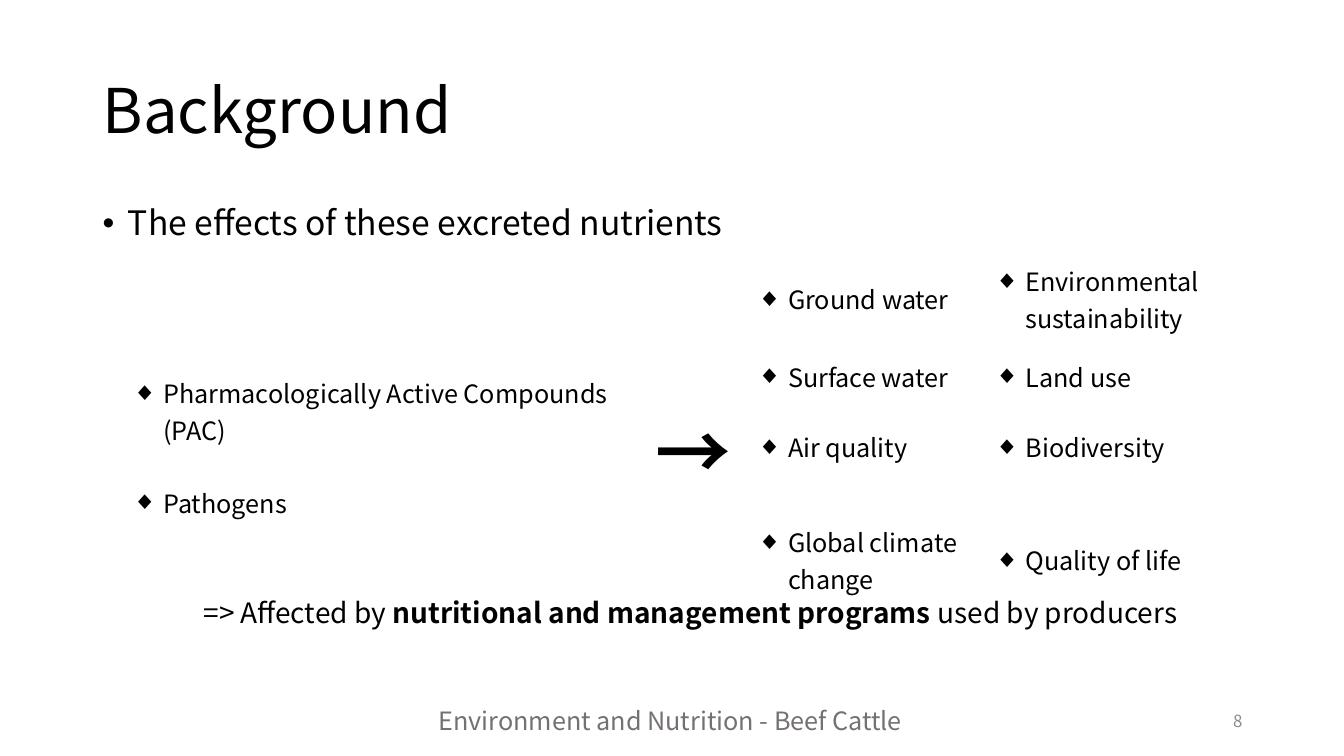
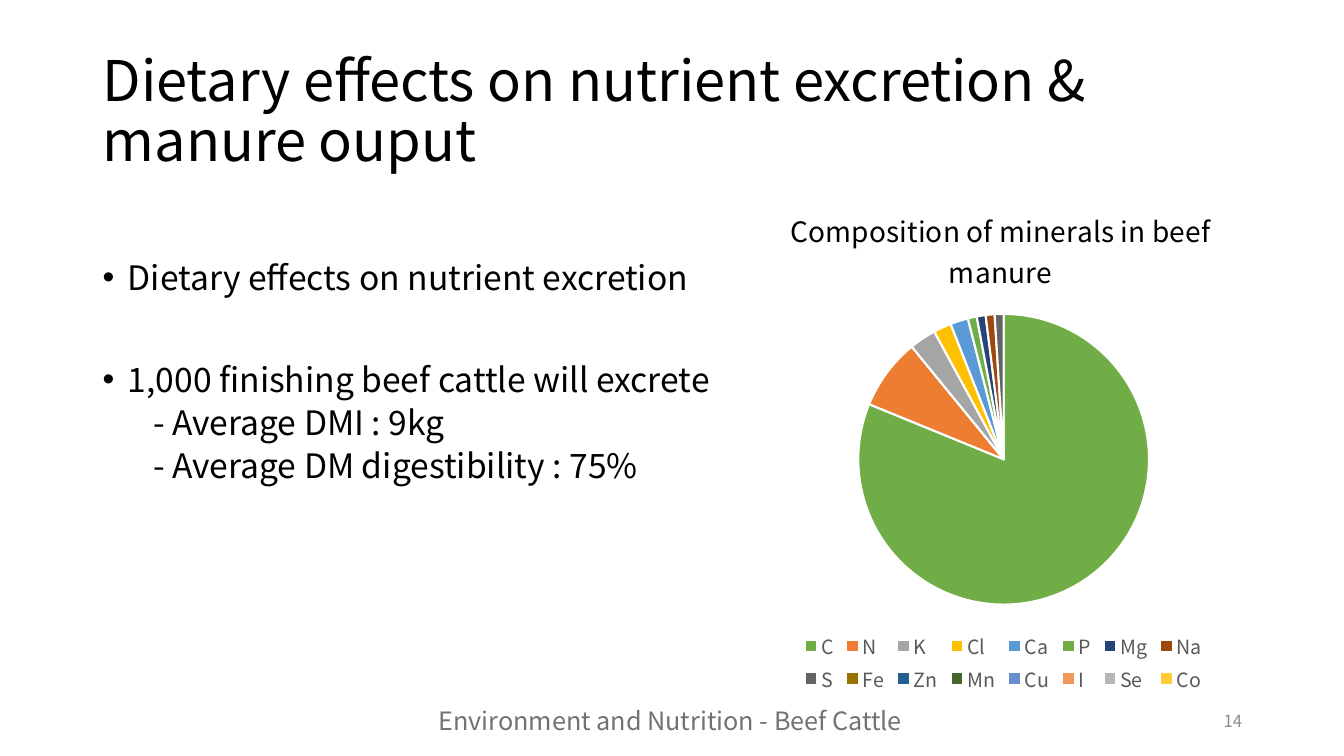
from lxml.etree import SubElement
from pptx import Presentation
from pptx.chart.data import CategoryChartData
from pptx.dml.color import RGBColor
from pptx.enum.chart import XL_CHART_TYPE, XL_LEGEND_POSITION
from pptx.enum.text import MSO_ANCHOR, PP_ALIGN
from pptx.oxml import parse_xml
from pptx.oxml.ns import nsdecls, qn
from pptx.util import Inches, Pt

FONT = "Noto Sans CJK KR"
BLACK, WHITE, GREY, FOOTER_GREY, LEGEND_GREY = "000000", "FFFFFF", "8C8C8C", "767171", "595959"
WIDTH, HEIGHT = 13.33, 7.5
MARGIN = 0.92
CONTENT_WIDTH = WIDTH - 2 * MARGIN
FOOTER = "Environment and Nutrition - Beef Cattle"
LINE_SPACING = 0.9
PLAIN_TABLE_STYLE = "{2D5ABB26-0587-4C30-8999-92F81FD0307C}"

CAUSES = ["Pharmacologically Active Compounds (PAC)", "Pathogens"]
IMPACTS = [
    ("Ground water", "Environmental sustainability"),
    ("Surface water", "Land use"),
    ("Air quality", "Biodiversity"),
    ("Global climate change", "Quality of life"),
]
MINERALS = [
    ("C", 82, "70AD47"), ("N", 8, "ED7D31"), ("K", 3, "A5A5A5"), ("Cl", 2, "FFC000"),
    ("Ca", 2, "5B9BD5"), ("P", 1, "70AD47"), ("Mg", 1, "264478"), ("Na", 1, "9E480E"),
    ("S", 1, "636363"), ("Fe", 0, "997300"), ("Zn", 0, "255E91"), ("Mn", 0, "43682B"),
    ("Cu", 0, "698ED0"), ("I", 0, "F1975A"), ("Se", 0, "B7B7B7"), ("Co", 0, "FFCD33"),
]


def color(value):
    """Turn a hex string into a colour."""
    return RGBColor.from_string(value)


def style_font(font, size, value=BLACK, bold=False):
    """Apply the shared typeface with a size, colour and weight."""
    font.name, font.size, font.bold = FONT, Pt(size), bold
    font.color.rgb = color(value)


def set_indent(paragraph, indent, bullet=None):
    """Indent a paragraph, hanging a bullet in the indent if one is given."""
    properties = paragraph._p.get_or_add_pPr()
    properties.set("marL", str(Inches(indent)))
    properties.set("indent", str(-Inches(indent) if bullet else 0))
    if bullet:
        SubElement(properties, qn("a:buFont")).set("typeface", "Arial")
        SubElement(properties, qn("a:buChar")).set("char", bullet)


def add_text(slide, box, lines, size, value=BLACK, anchor=MSO_ANCHOR.TOP,
             align=PP_ALIGN.LEFT, spacing=LINE_SPACING):
    """Add a wrapped text box with one paragraph per line and return its paragraphs."""
    frame = slide.shapes.add_textbox(*map(Inches, box)).text_frame
    frame.word_wrap = True
    frame.vertical_anchor = anchor
    frame.text = "\n".join(lines)
    for paragraph in frame.paragraphs:
        paragraph.alignment = align
        paragraph.line_spacing = spacing
        style_font(paragraph.font, size, value)
    return frame.paragraphs


def add_frame(presentation, title, size, number):
    """Add a blank slide with the shared title, footer and number."""
    slide = presentation.slides.add_slide(presentation.slide_layouts[6])
    add_text(slide, (MARGIN, 0.4, CONTENT_WIDTH, 1.45), [title], size,
             anchor=MSO_ANCHOR.MIDDLE)
    add_text(slide, (9.42, 6.95, 3, 0.4), [str(number)], 12, GREY,
             MSO_ANCHOR.MIDDLE, PP_ALIGN.RIGHT, 1.0)
    add_text(slide, (4.25, 6.95, 4.83, 0.4), [FOOTER], 18, FOOTER_GREY, spacing=1.0)
    return slide


def fill_cell(cell, lines, gap=0):
    """Write diamond-bulleted lines into a table cell."""
    cell.text = "\n".join(lines)
    for index, paragraph in enumerate(cell.text_frame.paragraphs):
        paragraph.space_before = Pt(gap if index else 0)
        set_indent(paragraph, 0.31, "◆")
        style_font(paragraph.font, 18)


def add_impact_table(slide, box):
    """Add the table that leads from causes to impacts."""
    left, top, width, height = box
    rows = len(IMPACTS)
    table = slide.shapes.add_table(rows, 4, *map(Inches, box)).table
    table.first_row = table.horz_banding = False
    table._tbl.tblPr.find(qn("a:tableStyleId")).text = PLAIN_TABLE_STYLE
    for column, share in zip(table.columns, (0.47, 0.098, 0.216, 0.216)):
        column.width = Inches(width * share)
    for row, share in zip(table.rows, (0.22, 0.185, 0.185, 0.41)):
        row.height = Inches(height * share)
    for cell in table.iter_cells():
        cell.fill.background()
        cell.vertical_anchor = MSO_ANCHOR.MIDDLE
    for column in (0, 1):
        table.cell(0, column).merge(table.cell(rows - 1, column))
    fill_cell(table.cell(0, 0), CAUSES, 26)
    arrow = table.cell(0, 1)
    arrow.text = "→"
    paragraph = arrow.text_frame.paragraphs[0]
    paragraph.alignment = PP_ALIGN.CENTER
    style_font(paragraph.font, 54, bold=True)
    for row, impacts in enumerate(IMPACTS):
        for column, impact in enumerate(impacts, 2):
            fill_cell(table.cell(row, column), [impact])


def add_conclusion(slide, box):
    """Add the closing sentence with its bold middle part."""
    paragraph = add_text(slide, box, ["=> Affected by "], 20)[0]
    strong = paragraph.add_run()
    strong.text = "nutritional and management programs "
    strong.font.bold = True
    paragraph.add_run().text = "used by producers"


def place(parent, position, **shares):
    """Fix a chart part at shares of the chart's size."""
    for old in parent.findall(qn("c:layout")):
        parent.remove(old)
    modes = "".join(f'<c:{axis}Mode val="edge"/>' for axis in "xy")
    values = "".join(f'<c:{name} val="{share}"/>' for name, share in shares.items())
    parent.insert(position, parse_xml(
        f'<c:layout {nsdecls("c")}><c:manualLayout>{modes}{values}'
        '</c:manualLayout></c:layout>'))


def add_mineral_chart(slide, box):
    """Add the pie chart of minerals."""
    data = CategoryChartData()
    data.categories = [name for name, _, _ in MINERALS]
    data.add_series("Series 1", [amount for _, amount, _ in MINERALS])
    chart = slide.shapes.add_chart(XL_CHART_TYPE.PIE, *map(Inches, box), data).chart
    style_font(chart.font, 10)
    chart.has_title = True
    title = chart.chart_title
    title.text_frame.text = "Composition of minerals in beef manure"
    style_font(title.text_frame.paragraphs[0].font, 20)
    title.include_in_layout = False
    place(title._element, 1, x=0.17, y=0.03)
    chart.has_legend = True
    chart.legend.position = XL_LEGEND_POSITION.BOTTOM
    chart.legend.include_in_layout = False
    style_font(chart.legend.font, 14, LEGEND_GREY)
    plot = chart.plots[0]
    plot.vary_by_categories = True
    for index, (_, _, value) in enumerate(MINERALS):
        point = plot.series[0].points[index].format
        point.fill.solid()
        point.fill.fore_color.rgb = color(value)
        point.line.color.rgb = color(WHITE)
        point.line.width = Pt(1.5)
    place(chart._chartSpace.chart.plotArea, 0, x=0.28, y=0.25, w=0.44, h=0.57)


def build_background(presentation):
    """Build the slide on the effects of excreted nutrients."""
    slide = add_frame(presentation, "Background", 44, 8)
    lead = add_text(slide, (MARGIN, 2, CONTENT_WIDTH, 0.55),
                    ["The effects of these excreted nutrients"], 24)[0]
    set_indent(lead, 0.25, "•")
    add_impact_table(slide, (1.21, 2.55, 10.91, 3.78))
    add_conclusion(slide, (MARGIN + 1, 5.9, CONTENT_WIDTH - 1, 0.5))


def build_dietary_effects(presentation):
    """Build the slide on diet, excretion and manure."""
    slide = add_frame(presentation, "Dietary effects on nutrient excretion & manure ouput",
                      40, 14)
    items = [
        ("Dietary effects on nutrient excretion", 0.25, "•", 0),
        ("1,000 finishing beef cattle will excrete", 0.25, "•", 47),
        ("- Average DMI : 9kg", 0.5, None, 5),
        ("- Average DM digestibility : 75%", 0.5, None, 5),
    ]
    paragraphs = add_text(slide, (MARGIN, 2.54, 6.31, 2.4), [item[0] for item in items], 24)
    for paragraph, (_, indent, bullet, gap) in zip(paragraphs, items):
        paragraph.space_before = Pt(gap)
        set_indent(paragraph, indent, bullet)
    add_mineral_chart(slide, (6.67, 1.85, 6.57, 5.06))


def main():
    """Build and save the presentation."""
    presentation = Presentation()
    presentation.slide_width, presentation.slide_height = Inches(WIDTH), Inches(HEIGHT)
    build_background(presentation)
    build_dietary_effects(presentation)
    presentation.save("out.pptx")


if __name__ == "__main__":
    main()
